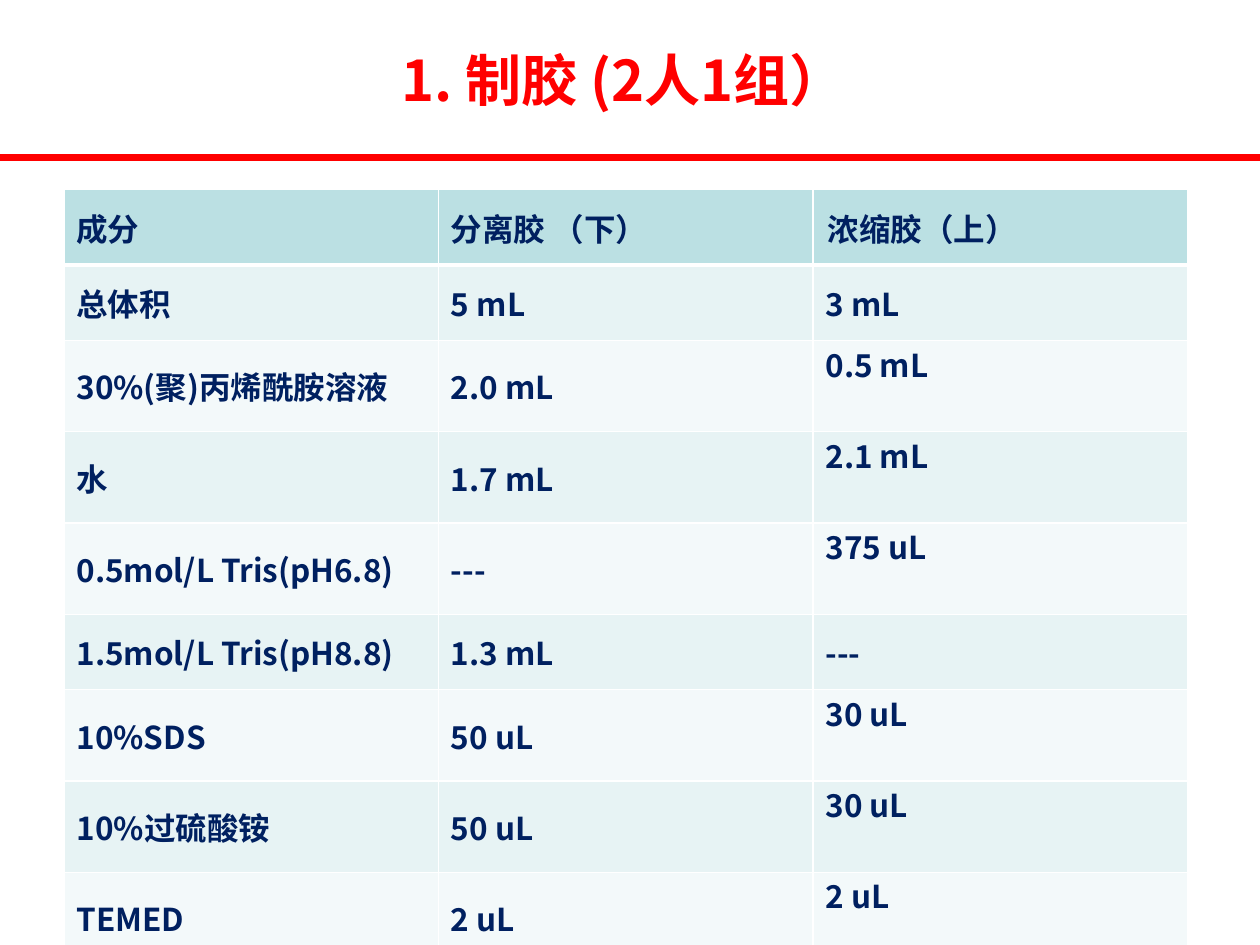
from lxml.etree import SubElement
from pptx import Presentation
from pptx.dml.color import RGBColor
from pptx.enum.shapes import MSO_CONNECTOR as Connector
from pptx.enum.text import MSO_ANCHOR as Anchor, PP_ALIGN as Align
from pptx.oxml.ns import qn
from pptx.util import Pt

RED = RGBColor(0xFF, 0x00, 0x00)
NAVY = RGBColor(0x00, 0x20, 0x60)
WHITE = RGBColor(0xFF, 0xFF, 0xFF)
HEADER_FILL = RGBColor(0xBB, 0xE0, 0xE3)
BAND_FILLS = (RGBColor(0xF3, 0xF9, 0xFA), RGBColor(0xE7, 0xF3, 0xF4))
FONT = "Noto Sans CJK SC"
ROW_HEIGHT = Pt(43.13)
COLUMN_WIDTH = Pt(214)
LINE_HEIGHT = Pt(26.1)

RECIPE = [
    ("成分", "分离胶 （下）", "浓缩胶（上）"),
    ("总体积", "5 mL", "3 mL"),
    ("30%(聚)丙烯酰胺溶液", "2.0 mL", "0.5 mL"),
    ("水", "1.7 mL", "2.1 mL"),
    ("0.5mol/L Tris(pH6.8)", "---", "375 uL"),
    ("1.5mol/L Tris(pH8.8)", "1.3 mL", "---"),
    ("10%SDS", "50 uL", "30 uL"),
    ("10%过硫酸铵", "50 uL", "30 uL"),
    ("TEMED", "2 uL", "2 uL"),
]
RAISED_ROWS = (2, 3, 4, 6, 7, 8)


def add_span(para, text, size, color):
    span = para.add_run()
    span.text = text
    font = span.font
    font.size = Pt(size)
    font.bold = True
    font.color.rgb = color
    font.name = FONT
    SubElement(font._element, qn("a:ea"), typeface=FONT)


def add_title(page, text):
    title = page.shapes.title
    title.left, title.top = Pt(36), Pt(0)
    title.width, title.height = Pt(648), Pt(90)
    title.text_frame.vertical_anchor = Anchor.MIDDLE
    para = title.text_frame.paragraphs[0]
    para.alignment = Align.CENTER
    add_span(para, text, 32, RED)


def add_rule(page, top, width):
    rule = page.shapes.add_connector(Connector.STRAIGHT, Pt(0), top, width, top)
    rule.line.color.rgb = RED
    rule.line.width = Pt(4.5)
    SubElement(rule._element.spPr, qn("a:effectLst"))


def set_borders(cell, widths):
    properties = cell._tc.get_or_add_tcPr()
    for index, (side, width) in enumerate(widths.items()):
        border = SubElement(properties, qn(f"a:ln{side}"), w=str(Pt(width)))
        properties.insert(index, border)
        fill = SubElement(border, qn("a:solidFill"))
        SubElement(fill, qn("a:srgbClr"), val=str(WHITE))


def fill_cell(cell, text, row, column):
    cell.fill.solid()
    cell.fill.fore_color.rgb = BAND_FILLS[row % 2] if row else HEADER_FILL
    cell.vertical_anchor = Anchor.MIDDLE
    cell.margin_left = cell.margin_right = Pt(7.2)
    cell.margin_top = cell.margin_bottom = Pt(0)
    if column == 2 and row == 0:
        cell.margin_left = Pt(8.6)
    if column == 2 and row in RAISED_ROWS:
        cell.margin_bottom = LINE_HEIGHT
    set_borders(cell, {"L": 1, "R": 1, "T": 3 if row == 1 else 1, "B": 1 if row else 3})
    add_span(cell.text_frame.paragraphs[0], text, 18, NAVY)


def add_recipe_table(page):
    rows, columns = len(RECIPE), len(RECIPE[0])
    table = page.shapes.add_table(
        rows, columns, Pt(36.5), Pt(108.3), COLUMN_WIDTH * columns, ROW_HEIGHT * rows
    ).table
    for column in table.columns:
        column.width = COLUMN_WIDTH
    for row, texts in enumerate(RECIPE):
        table.rows[row].height = ROW_HEIGHT
        for column, text in enumerate(texts):
            fill_cell(table.cell(row, column), text, row, column)


def main():
    deck = Presentation()
    deck.slide_width, deck.slide_height = Pt(720), Pt(540)
    page = deck.slides.add_slide(deck.slide_layouts[5])
    page.background.fill.solid()
    page.background.fill.fore_color.rgb = WHITE
    add_rule(page, Pt(90), deck.slide_width)
    add_title(page, "1. 制胶 (2人1组） ")
    add_recipe_table(page)
    deck.save("out.pptx")


if __name__ == "__main__":
    main()
